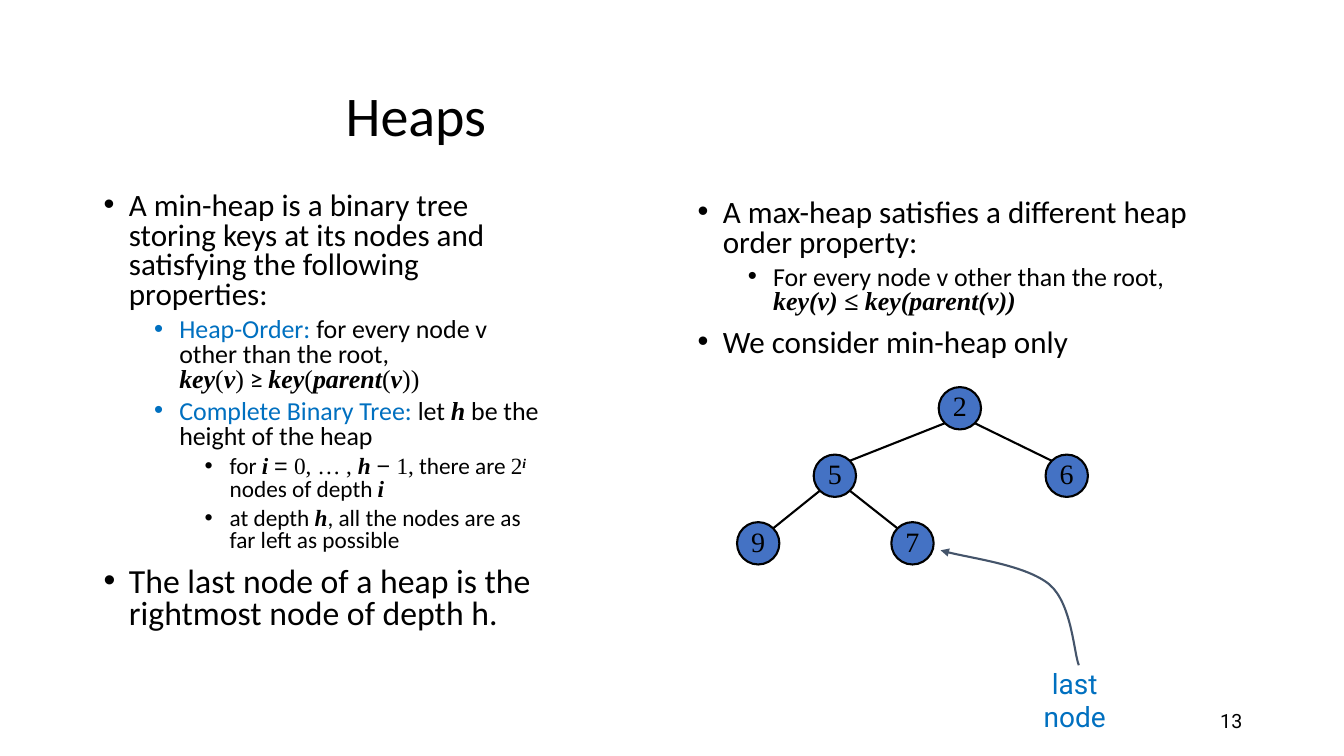
from math import sqrt

from lxml.etree import SubElement
from pptx import Presentation
from pptx.dml.color import RGBColor
from pptx.enum.shapes import MSO_CONNECTOR as CONN, MSO_SHAPE as SHAPE
from pptx.enum.text import MSO_ANCHOR as ANCHOR, PP_ALIGN as ALIGN
from pptx.oxml.ns import qn
from pptx.util import Inches, Pt

COLORS = {"text": "000000", "accent": "0070C0", "node": "4472C4", "arrow": "44546A"}
CALIBRI = {"name": "Calibri", "color": "text"}
TIMES = {"name": "Times New Roman", "color": "text"}
STYLES = {
    "plain": CALIBRI,
    "term": {"name": "Calibri", "color": "accent"},
    "math": TIMES,
    "sign": {"name": "Arial", "color": "text"},
    "var": {**TIMES, "bold": True, "italic": True},
    "power": {**TIMES, "bold": True, "italic": True, "baseline": "30000"},
}
LEVELS = [
    {"indent": 0.25, "before": 10},
    {"indent": 0.75, "before": 5},
    {"indent": 1.25, "before": 5},
]
BREAK = ("\n", "plain")

MIN_HEAP = [
    (0, 22.2, [("A min-heap is a binary tree storing keys at its nodes and "
                "satisfying the following properties:", "plain")]),
    (1, 18.5, [("Heap-Order: ", "term"), ("for every node v other than the root,", "plain"),
               BREAK, ("key", "var"), ("(", "math"), ("v", "var"), (")", "math"),
               (" ≥ ", "plain"), ("key", "var"), ("(", "math"), ("parent", "var"),
               ("(", "math"), ("v", "var"), ("))", "math")]),
    (1, 18.5, [("Complete Binary Tree: ", "term"), ("let ", "plain"), ("h", "var"),
               (" be the height of the heap", "plain")]),
    (2, 16.6, [("for ", "plain"), ("i ", "var"), ("= ", "sign"), ("0, … , ", "math"),
               ("h ", "var"), ("− ", "sign"), ("1,", "math"), (" there are ", "plain"),
               ("2", "math"), ("i", "power"), (" nodes of depth ", "plain"), ("i", "var")]),
    (2, 16.6, [("at depth ", "plain"), ("h", "var"),
               (", all the nodes are as far left as possible", "plain")]),
    (0, 24.1, [("The last node of a heap is the rightmost node of depth h.", "plain")]),
]
MAX_HEAP = [
    (0, 22.2, [("A max-heap satisfies a different heap order property:", "plain")]),
    (1, 18.5, [("For every node v other than the root,", "plain"), BREAK,
               ("key(v) ≤ key(parent(v))", "var")]),
    (0, 22.2, [("We consider min-heap only", "plain")]),
]

NODE_SIZE = 0.42
ROW_STEP = 0.67
TREE = {"2": (2.21, 0), "5": (0.97, 1), "6": (3.27, 1), "9": (0.21, 2), "7": (1.74, 2)}
EDGES = [("2", "5"), ("2", "6"), ("5", "9"), ("5", "7")]
ARROW_POINTS = [(10.7, 6.6), (10.65, 6.47), (10.63, 5.99), (10.41, 5.8),
                (10.18, 5.61), (9.56, 5.53), (9.33, 5.46)]


def rgb(name):
    """Return the palette colour of that name."""
    return RGBColor.from_string(COLORS[name])


def add_run(p, text, size, style):
    """Add a run whose font follows a dict of format values."""
    r = p.add_run()
    r.text = text
    r.font.size = Pt(size)
    for key, value in style.items():
        if key == "color":
            r.font.color.rgb = rgb(value)
        elif key == "baseline":
            r._r.get_or_add_rPr().set(key, value)
        else:
            setattr(r.font, key, value)


def add_frame(s, box, anchor=ANCHOR.TOP):
    """Add a wrapping text box and return its text frame."""
    tf = s.shapes.add_textbox(*map(Inches, box)).text_frame
    tf.word_wrap = True
    tf.vertical_anchor = anchor
    return tf


def add_label(s, box, text, size, style, align, anchor=ANCHOR.TOP):
    """Place one line of text in a box."""
    p = add_frame(s, box, anchor).paragraphs[0]
    p.alignment = align
    add_run(p, text, size, style)


def add_bullets(s, box, items):
    """Place a column of bullets with mixed runs."""
    tf = add_frame(s, box)
    for i, (level, size, runs) in enumerate(items):
        p = tf.add_paragraph() if i else tf.paragraphs[0]
        pPr = p._p.get_or_add_pPr()
        pPr.set("marL", str(Inches(LEVELS[level]["indent"])))
        pPr.set("indent", str(-Inches(0.25)))
        SubElement(pPr, qn("a:buFont")).set("typeface", "Arial")
        SubElement(pPr, qn("a:buChar")).set("char", "•")
        p.level = level
        p.line_spacing = 0.8
        p.space_before = Pt(LEVELS[level]["before"] if i else 0)
        for text, style in runs:
            if text == "\n":
                p.add_line_break()
            else:
                add_run(p, text, size, STYLES[style])


def add_node(s, x, y, key):
    """Draw a tree node centred on a point."""
    half = NODE_SIZE / 2
    sp = s.shapes.add_shape(SHAPE.OVAL, *map(Inches, (x - half, y - half, NODE_SIZE, NODE_SIZE)))
    sp.shadow.inherit = False
    sp.fill.solid()
    sp.fill.fore_color.rgb = rgb("node")
    sp.line.color.rgb = rgb("text")
    sp.line.width = Pt(1.5)
    tf = sp.text_frame
    frame = {"margin_left": 0, "margin_right": 0, "margin_top": 0,
             "margin_bottom": Inches(0.05), "word_wrap": False,
             "vertical_anchor": ANCHOR.MIDDLE}
    for name, value in frame.items():
        setattr(tf, name, value)
    p = tf.paragraphs[0]
    p.alignment = ALIGN.CENTER
    add_run(p, key, 20, TIMES)


def add_tree(s, left, top):
    """Draw the heap with edges meeting nodes on their diagonals."""
    centres = {key: (left + x, top + NODE_SIZE / 2 + row * ROW_STEP)
               for key, (x, row) in TREE.items()}
    reach = NODE_SIZE / 2 / sqrt(2)
    for parent, child in EDGES:
        (px, py), (cx, cy) = centres[parent], centres[child]
        dx = reach if cx > px else -reach
        ends = (px + dx, py + reach, cx - dx, cy - reach)
        edge = s.shapes.add_connector(CONN.STRAIGHT, *map(Inches, ends))
        edge.line.color.rgb = rgb("text")
        edge.line.width = Pt(1.5)
        SubElement(edge._element.spPr, qn("a:effectLst"))
    for key, (x, y) in centres.items():
        add_node(s, x, y, key)


def add_curved_arrow(s, points):
    """Draw a Bezier curve through point triples, with an arrowhead at its end."""
    pts = [(Inches(x), Inches(y)) for x, y in points]
    builder = s.shapes.build_freeform(*pts[0])
    builder.add_line_segments(pts[1:], close=False)
    sp = builder.convert_to_shape()
    segments = list(sp._element.iter(qn("a:lnTo")))
    outline = segments[0].getparent()
    for i in range(0, len(segments), 3):
        curve = SubElement(outline, qn("a:cubicBezTo"))
        for seg in segments[i:i + 3]:
            curve.append(seg[0])
            outline.remove(seg)
    sp.shadow.inherit = False
    sp.fill.background()
    sp.line.color.rgb = rgb("arrow")
    sp.line.width = Pt(1.5)
    SubElement(sp._element.spPr.find(qn("a:ln")), qn("a:tailEnd")).set("type", "triangle")


def build_heaps_slide(prs):
    """Build the slide on heaps."""
    s = prs.slides.add_slide(prs.slide_layouts[6])
    add_label(s, (3.33, 0.67, 5.42, 0.92), "Heaps", 40, CALIBRI, ALIGN.LEFT, ANCHOR.MIDDLE)
    add_bullets(s, (0.93, 1.86, 4.62, 5), MIN_HEAP)
    add_bullets(s, (6.82, 1.93, 5.11, 1.74), MAX_HEAP)
    add_tree(s, 7.31, 3.84)
    add_curved_arrow(s, ARROW_POINTS)
    add_label(s, (10.01, 6.56, 1.3, 0.43), "last node", 20,
              {"name": "Roboto", "color": "accent"}, ALIGN.CENTER)
    add_label(s, (9.42, 6.95, 3, 0.4), "13", 14,
              {"name": "Roboto", "color": "text"}, ALIGN.RIGHT, ANCHOR.MIDDLE)


def main():
    """Create the presentation and save it."""
    prs = Presentation()
    prs.slide_width, prs.slide_height = Inches(13.33), Inches(7.5)
    build_heaps_slide(prs)
    prs.save("out.pptx")


if __name__ == "__main__":
    main()
